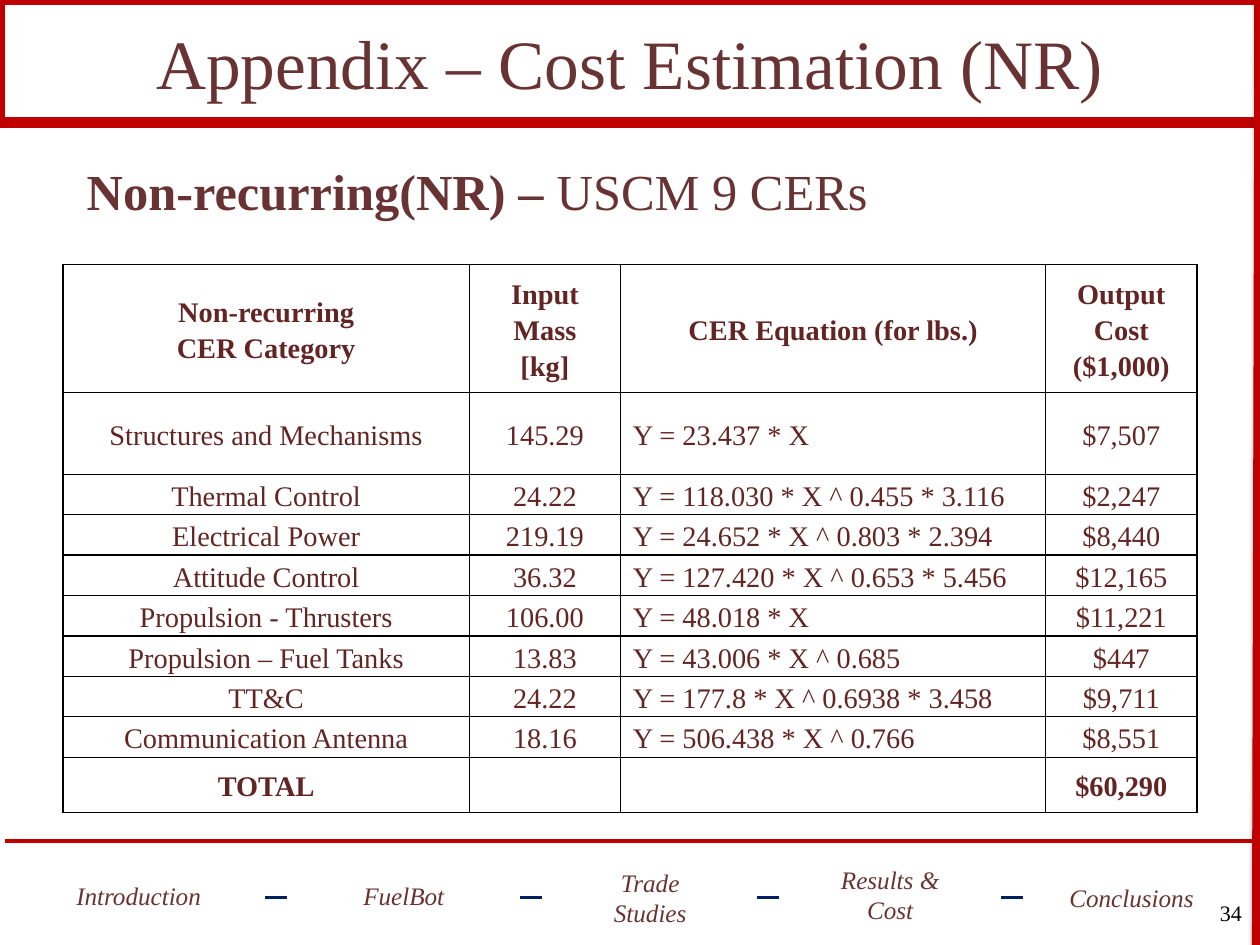
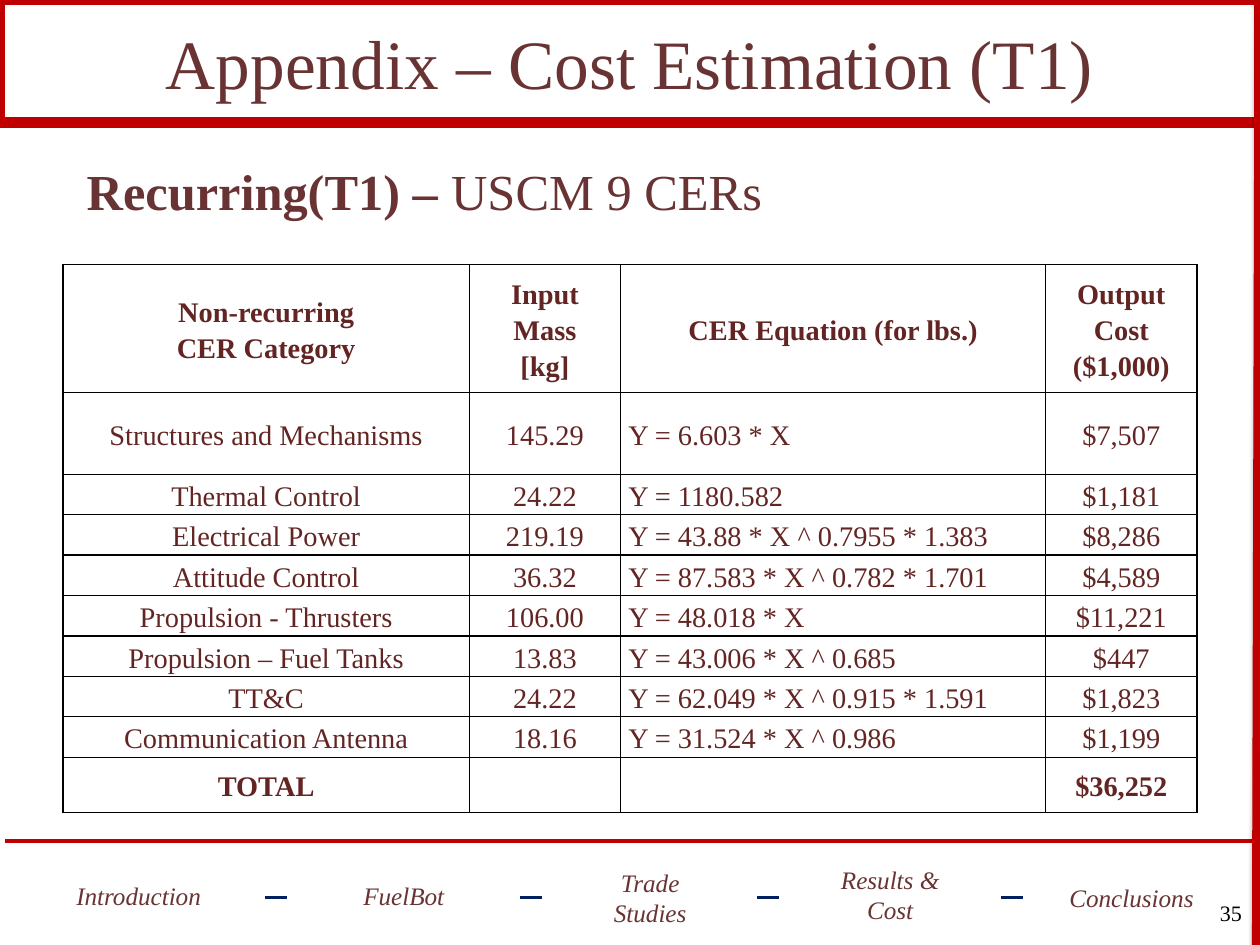
from dataclasses import dataclass
from itertools import cycle

from lxml.etree import SubElement
from pptx import Presentation
from pptx.dml.color import RGBColor as Color
from pptx.enum.shapes import MSO_CONNECTOR as Connector, MSO_SHAPE as Preset
from pptx.enum.text import MSO_ANCHOR as Anchor, PP_ALIGN as Align
from pptx.oxml import parse_xml
from pptx.oxml.ns import nsdecls, qn
from pptx.util import Inches, Pt


@dataclass(frozen=True)
class Theme:
    font: str = "Times New Roman"
    text: str = "693333"
    table_text: str = "632523"
    band: str = "C00000"
    dash: str = "002060"
    black: str = "000000"
    white: str = "FFFFFF"
    title_size: int = 44
    heading_size: int = 32
    table_size: int = 18
    footer_size: int = 16
    number_size: int = 14
    band_width: float = 7
    rule_width: float = 2.25
    border_width: float = 1


theme = Theme()
COLUMN, ROW = Pt(8), Pt(6)


def place(*shares):
    return [int(share * unit) for share, unit in zip(shares, cycle((COLUMN, ROW)))]


def write(frame, *texts, size, color=theme.text, bold=(False,), italic=False,
          align=Align.CENTER, anchor=Anchor.MIDDLE, spacing=None, before=0):
    frame.word_wrap = True
    frame.vertical_anchor = anchor
    paragraph = frame.paragraphs[0]
    paragraph.alignment = align
    paragraph.line_spacing = spacing
    paragraph.space_before = Pt(before)
    for text, heavy in zip(texts, bold):
        for index, part in enumerate(text.split("\n")):
            if index:
                paragraph.add_line_break()
            run = paragraph.add_run()
            run.text = part
            run.font.name = theme.font
            run.font.size = Pt(size)
            run.font.bold = heavy
            run.font.italic = italic
            run.font.color.rgb = Color.from_string(color)


FOOTER = [
    ("Introduction", (3.5, 91, 15, 7.5)),
    ("FuelBot", (25.3, 91, 13.5, 7.5)),
    ("Trade Studies", (45.6, 91.2, 12, 7.5)),
    ("Results & Cost", (64.4, 90.9, 12.5, 7.5)),
    ("Conclusions", (83.8, 91.2, 12, 7.5)),
]
LINES = [
    ((0.4, 89, 99.9, 89), theme.band, theme.rule_width, False),
    ((99.8, 100, 100, 0), theme.band, theme.band_width, True),
] + [
    ((left, 95, left + 1.75, 95), theme.dash, theme.rule_width, False)
    for left in (21.06, 41.3, 60.1, 79.45)
]
SHADOW = (
    f'<a:outerShdw {nsdecls("a")} blurRad="{Pt(3.1)}" dist="{Pt(1.6)}" dir="5400000">'
    f'<a:srgbClr val="{theme.black}"><a:alpha val="38000"/></a:srgbClr></a:outerShdw>'
)

COLUMN_SHARES = (32.25, 12, 33.75, 12)
ROW_SHARES = (13.55, 8.65, *[4.28] * 7, 5.85)
HEADER = ("Non-recurring\nCER Category", "Input Mass\n[kg]",
          "CER Equation (for lbs.)", "Output Cost ($1,000)")
CATEGORIES = ("Structures and Mechanisms", "Thermal Control", "Electrical Power",
              "Attitude Control", "Propulsion - Thrusters", "Propulsion – Fuel Tanks",
              "TT&C", "Communication Antenna")
MASSES = ("145.29", "24.22", "219.19", "36.32", "106.00", "13.83", "24.22", "18.16")

ESTIMATES = [
    dict(
        title="Appendix – Cost Estimation (NR)", heading="Non-recurring(NR) – ",
        number="34", inset=0.11, total="$60,290",
        equations=("Y = 23.437 * X", "Y = 118.030 * X ^ 0.455 * 3.116",
                   "Y = 24.652 * X ^ 0.803 * 2.394", "Y = 127.420 * X ^ 0.653 * 5.456",
                   "Y = 48.018 * X", "Y = 43.006 * X ^ 0.685",
                   "Y = 177.8 * X ^ 0.6938 * 3.458", "Y = 506.438 * X ^ 0.766"),
        costs=("$7,507", "$2,247", "$8,440", "$12,165",
               "$11,221", "$447", "$9,711", "$8,551"),
    ),
    dict(
        title="Appendix – Cost Estimation (T1)", heading="Recurring(T1) – ",
        number="35", inset=0.07, total="$36,252",
        equations=("Y = 6.603 * X", "Y = 1180.582",
                   "Y = 43.88 * X ^ 0.7955 * 1.383", "Y = 87.583 * X ^ 0.782 * 1.701",
                   "Y = 48.018 * X", "Y = 43.006 * X ^ 0.685",
                   "Y = 62.049 * X ^ 0.915 * 1.591", "Y = 31.524 * X ^ 0.986"),
        costs=("$7,507", "$1,181", "$8,286", "$4,589",
               "$11,221", "$447", "$1,823", "$1,199"),
    ),
]

presentation = Presentation()
presentation.slide_width, presentation.slide_height = place(100, 100)
title_only = presentation.slide_layouts[5]

for estimate in ESTIMATES:
    slide = presentation.slides.add_slide(title_only)
    shapes = slide.shapes

    title = shapes.title
    title.left, title.top, title.width, title.height = place(7.5, 0, 85, 13.1)
    write(title.text_frame, estimate["title"], size=theme.title_size)

    title_band = shapes.add_shape(Preset.RECTANGLE, *place(0, 0, 100, 13))
    title_band.shadow.inherit = False
    title_band.fill.background()
    title_band.line.color.rgb = Color.from_string(theme.band)
    title_band.line.width = Pt(theme.band_width)

    for ends, color, width, shaded in LINES:
        line = shapes.add_connector(Connector.STRAIGHT, *place(*ends))
        line.line.color.rgb = Color.from_string(color)
        line.line.width = Pt(width)
        effects = SubElement(line.element.spPr, qn("a:effectLst"))
        if shaded:
            effects.append(parse_xml(SHADOW))

    for section, box in FOOTER:
        label = shapes.add_textbox(*place(*box))
        write(label.text_frame, section, size=theme.footer_size, italic=True)

    number = shapes.add_textbox(*place(95.1, 94.6, 4.35, 5.4))
    write(number.text_frame, estimate["number"], size=theme.number_size,
          color=theme.black, align=Align.RIGHT, anchor=Anchor.TOP)

    heading = shapes.add_textbox(*place(6, 16.4, 89, 12.5))
    write(heading.text_frame, estimate["heading"], "USCM 9 CERs",
          size=theme.heading_size, bold=(True, False), align=Align.LEFT,
          anchor=Anchor.TOP, before=6.4)

    rows = [HEADER, *zip(CATEGORIES, MASSES, estimate["equations"], estimate["costs"]),
            ("TOTAL", "", "", estimate["total"])]
    table = shapes.add_table(len(rows), len(HEADER),
                             *place(5, 28, sum(COLUMN_SHARES), sum(ROW_SHARES))).table
    table.horz_banding = False
    for column, share in zip(table.columns, COLUMN_SHARES):
        column.width = int(share * COLUMN)
    for row, share in zip(table.rows, ROW_SHARES):
        row.height = int(share * ROW)

    for row_index, values in enumerate(rows):
        is_header = row_index == 0
        is_strong = row_index in (0, len(rows) - 1)
        for column_index, value in enumerate(values):
            cell = table.cell(row_index, column_index)
            cell.margin_left = cell.margin_right = Inches(
                HEADER and 0.11 if is_header else estimate["inset"])
            cell.margin_top = cell.margin_bottom = 0
            cell.vertical_anchor = Anchor.MIDDLE
            properties = cell._tc.get_or_add_tcPr()
            for side in ("lnL", "lnR", "lnT", "lnB"):
                properties.append(parse_xml(
                    f'<a:{side} {nsdecls("a")} w="{Pt(theme.border_width)}"><a:solidFill>'
                    f'<a:srgbClr val="{theme.black}"/></a:solidFill></a:{side}>'))
            cell.fill.solid()
            cell.fill.fore_color.rgb = Color.from_string(theme.white)
            if value:
                is_equation = column_index == 2 and not is_header
                write(cell.text_frame, value, size=theme.table_size,
                      color=theme.table_text, bold=(is_strong,), spacing=1.15,
                      align=Align.LEFT if is_equation else Align.CENTER,
                      anchor=Anchor.MIDDLE)

presentation.save("out.pptx")
